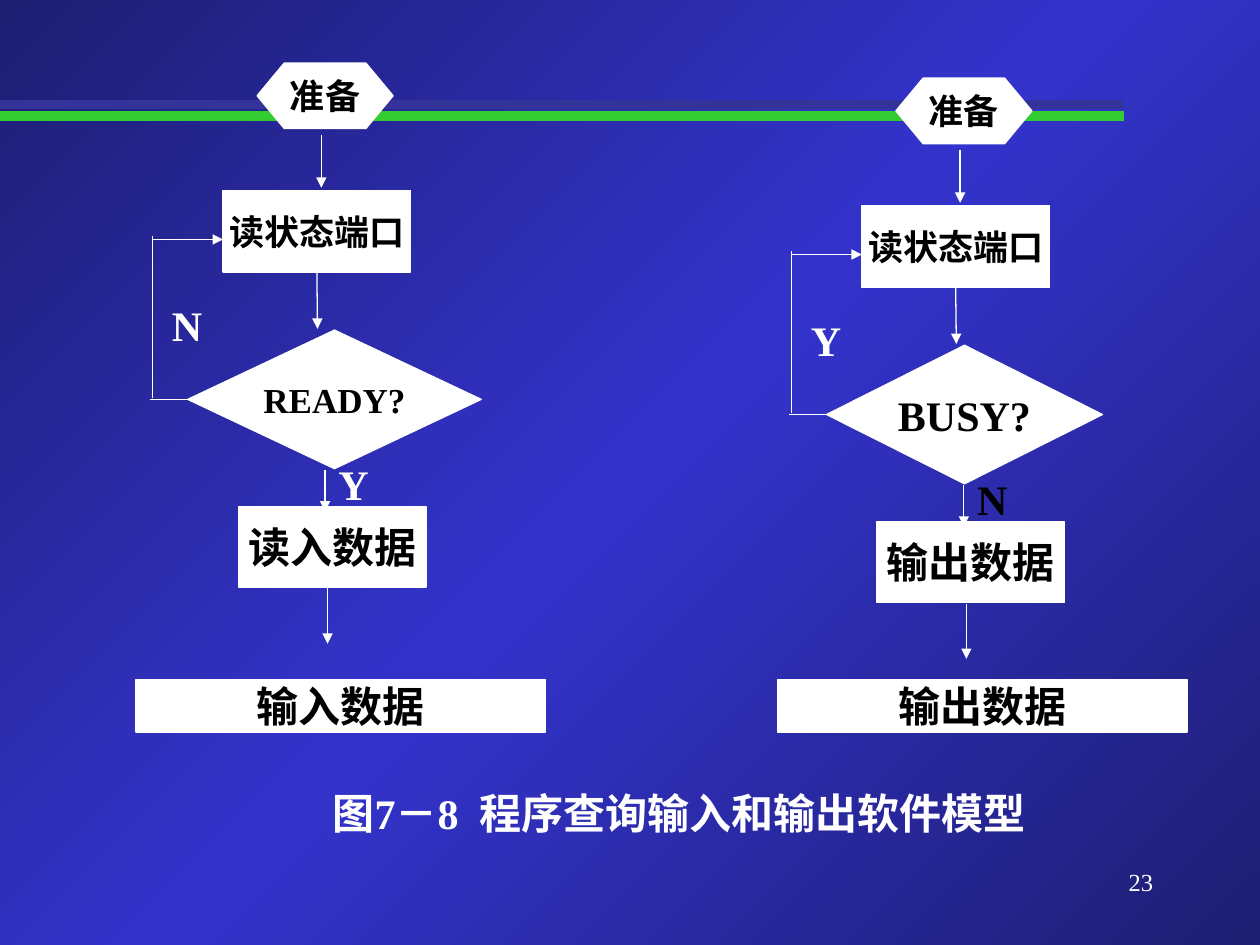
import pptx
import pptx.util
import pptx.dml.color
import pptx.enum.shapes
import pptx.enum.text
import pptx.oxml
import pptx.oxml.ns
from pptx.util import Inches

SHAPES = pptx.enum.shapes.MSO_SHAPE
ALIGN = pptx.enum.text.PP_ALIGN
ANCHOR = pptx.enum.text.MSO_ANCHOR
FONT = "Times New Roman"
WHITE, BLACK = "FFFFFF", "000000"
GREEN, INDIGO = "33CC33", "333399"
NAVY, BLUE = "1D1D72", "3333CC"


def color(value):
    return pptx.dml.color.RGBColor.from_string(value)


def set_background(slide):
    fill = slide.background.fill
    fill.gradient()
    gradient = slide.background._cSld.bg.bgPr.find(pptx.oxml.ns.qn("a:gradFill"))
    stops = "".join(
        f'<a:gs pos="{position}"><a:srgbClr val="{value}"/></a:gs>'
        for position, value in ((0, NAVY), (50000, BLUE), (100000, NAVY)))
    gradient.getparent().replace(gradient, pptx.oxml.parse_xml(
        f'<a:gradFill {pptx.oxml.ns.nsdecls("a")} rotWithShape="1"><a:gsLst>{stops}</a:gsLst>'
        '<a:lin ang="2700000" scaled="0"/></a:gradFill>'))


def write(shape, text, size, text_color, align=ALIGN.CENTER, bold=True,
          insets=(0, 0, 0, 0), wrap=False, anchor=ANCHOR.MIDDLE):
    frame = shape.text_frame
    frame.word_wrap = wrap
    frame.vertical_anchor = anchor
    (frame.margin_left, frame.margin_top,
     frame.margin_right, frame.margin_bottom) = map(Inches, insets)
    paragraph = frame.paragraphs[0]
    paragraph.text = text
    paragraph.alignment = align
    paragraph.font.name = FONT
    paragraph.font.size = pptx.util.Pt(size)
    paragraph.font.bold = bold
    paragraph.font.color.rgb = color(text_color)


def add_block(slide, kind, left, top, width, height, text, size):
    shape = slide.shapes.add_shape(
        kind, Inches(left), Inches(top), Inches(width), Inches(height))
    shape.shadow.inherit = False
    shape.fill.solid()
    shape.fill.fore_color.rgb = color(WHITE)
    shape.line.color.rgb = color(WHITE)
    shape.line.width = pptx.util.Pt(0.75)
    write(shape, text, size, BLACK)
    return shape


def add_text(slide, left, top, width, height, *arguments, **options):
    box = slide.shapes.add_textbox(
        Inches(left), Inches(top), Inches(width), Inches(height))
    write(box, *arguments, **options)


def add_line(slide, x1, y1, x2, y2, line_color=WHITE, width=0.75, arrow=False):
    line = slide.shapes.add_connector(
        pptx.enum.shapes.MSO_CONNECTOR.STRAIGHT,
        Inches(x1), Inches(y1), Inches(x2), Inches(y2))
    line.line.color.rgb = color(line_color)
    line.line.width = pptx.util.Pt(width)
    if arrow:
        pptx.oxml.ns  # arrowhead at the end of the line
        line.line._get_or_add_ln().append(pptx.oxml.parse_xml(
            f'<a:tailEnd {pptx.oxml.ns.nsdecls("a")} type="triangle"/>'))
    line._element.spPr.append(pptx.oxml.parse_xml(
        f'<a:effectLst {pptx.oxml.ns.nsdecls("a")}/>'))
    return line


def add_flowchart(slide, left, top, question, question_size, question_width,
                  transfer, retry_label, done_label, done_color):
    def block(kind, x, y, width, height, text, size):
        return add_block(slide, kind, left + x, top + y, width, height, text, size)

    def line(x1, y1, x2, y2, arrow=False):
        return add_line(slide, left + x1, top + y1, left + x2, top + y2, arrow=arrow)

    def label(x, y, text, text_color):
        add_text(slide, left + x, top + y, 0.45, 0.31, text, 24, text_color)

    # Preparation, status reading and test
    block(SHAPES.FLOWCHART_PREPARATION, 0.85, 0, 1.08, 0.52, "准备", 20)
    status = block(SHAPES.FLOWCHART_PROCESS, 0.58, 1.01, 1.49, 0.65, "读状态端口", 20)
    test = block(SHAPES.FLOWCHART_DECISION, 0.3, 2.12, question_width, 1.1,
                 question, question_size)

    # Loop back to the status reading
    line(0.3, 2.67, 0, 2.67).begin_connect(test, 1)
    line(0.02, 2.66, 0.02, 1.37)
    line(0.02, 1.4, 0.58, 1.4, arrow=True)

    # Downward flow
    line(1.33, 1.66, 1.33, 2.11, arrow=True).begin_connect(status, 2)
    line(1.36, 0.57, 1.36, 0.99, arrow=True)
    line(1.39, 3.23, 1.39, 3.56, arrow=True)
    block(SHAPES.FLOWCHART_PROCESS, 0.7, 3.52, 1.49, 0.64, transfer, 24)
    line(1.41, 4.17, 1.41, 4.61, arrow=True)

    # Branch labels
    label(1.39, 3.18, done_label, done_color)
    label(0.07, 1.92, retry_label, WHITE)


def add_header_rule(slide):
    for y, rule_color in ((0.92, GREEN), (0.83, INDIGO)):
        add_line(slide, 0, y, 8.92, y, rule_color, 5.5)


def add_footer(slide):
    add_text(slide, 2.33, 6.24, 6.2, 0.42, "图7－8  程序查询输入和输出软件模型", 24,
             WHITE, align=ALIGN.LEFT, insets=(0.31, 0.05, 0, 0.05), wrap=True)
    add_text(slide, 7.17, 6.83, 2.08, 0.5, "23", 14, WHITE, align=ALIGN.RIGHT,
             bold=False, insets=(0.1, 0.05, 0.1, 0.05), wrap=True,
             anchor=ANCHOR.TOP)


def main():
    presentation = pptx.Presentation()
    presentation.slide_width = Inches(10)
    presentation.slide_height = Inches(7.5)
    slide = presentation.slides.add_slide(presentation.slide_layouts[6])
    set_background(slide)
    add_header_rule(slide)
    add_flowchart(slide, 1.19, 0.5, "READY?", 20, 2.33, "读入数据", "N", "Y", WHITE)
    add_flowchart(slide, 6.26, 0.62, "BUSY?", 24, 2.19, "输出数据", "Y", "N", BLACK)
    # Titles below the two flowcharts
    for left, title in ((1.08, "输入数据"), (6.17, "输出数据")):
        add_block(slide, SHAPES.RECTANGLE, left, 5.39, 3.25, 0.42, title, 24)
    add_footer(slide)
    presentation.save("out.pptx")


if __name__ == "__main__":
    main()
